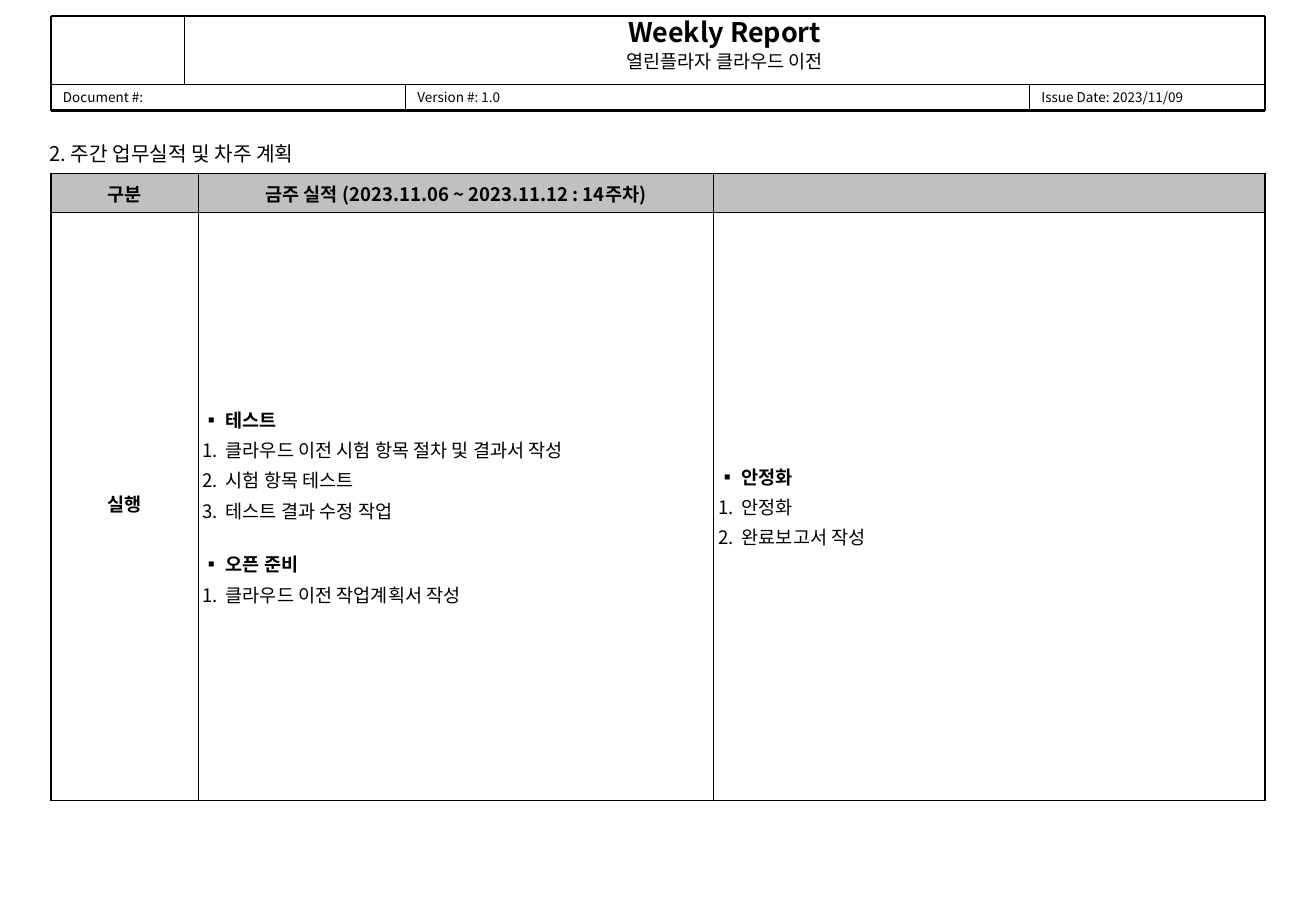
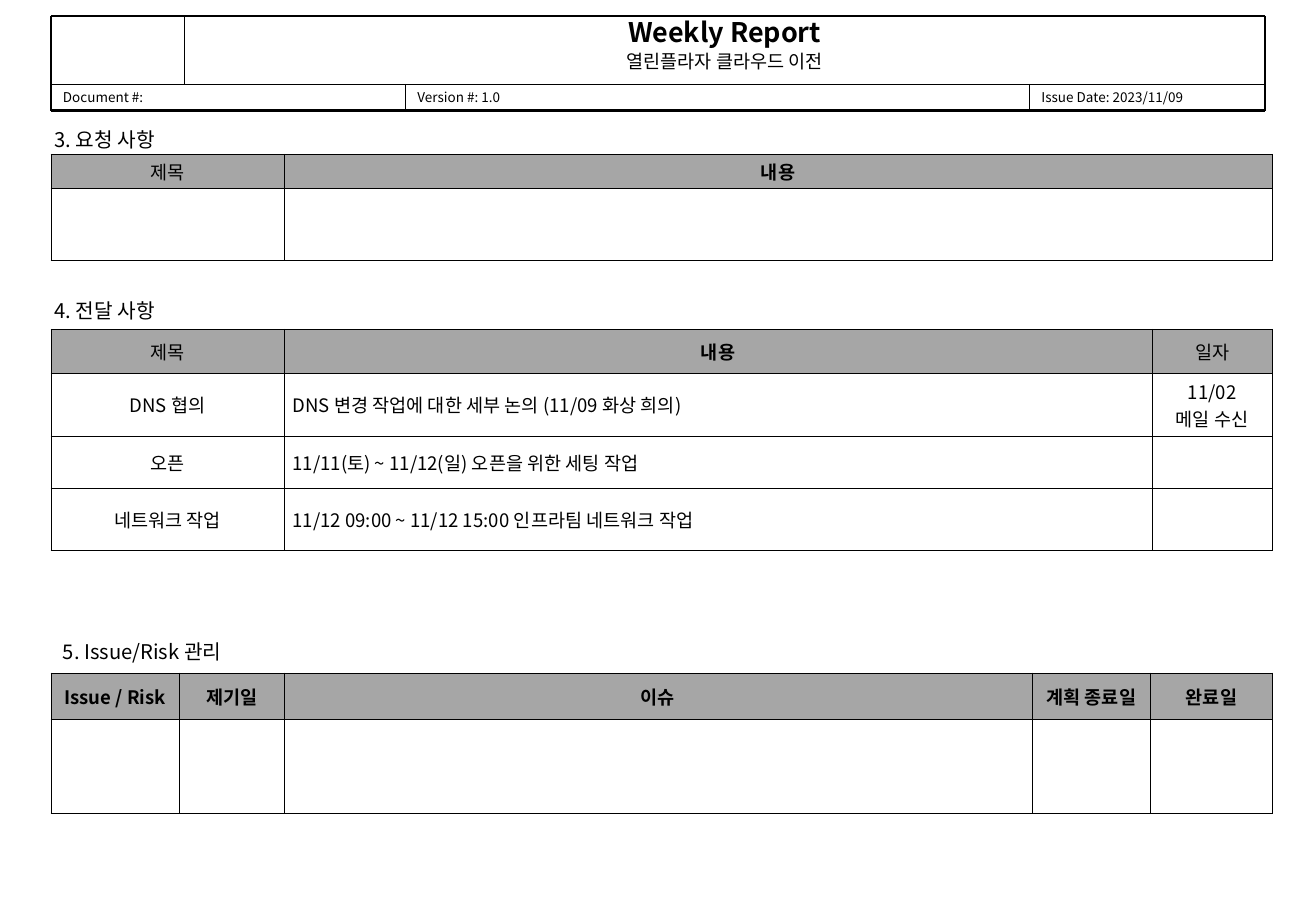
from dataclasses import dataclass

from lxml.etree import SubElement
from pptx import Presentation
from pptx.dml.color import RGBColor
from pptx.enum.shapes import MSO_CONNECTOR as Connector
from pptx.enum.text import MSO_ANCHOR as Anchor, PP_ALIGN as Align
from pptx.oxml.ns import qn
from pptx.util import Inches, Pt

COLORS = {"ink": "000000", "plan_head": "C0C0C0", "list_head": "A6A6A6"}
FONT = "Noto Sans CJK KR"
BODY_SIZE = 11
THIN, THICK = 0.25, 1.5
GRID = 0.45

# Header frame: outer edges and inner dividers
LEFT, RIGHT = 0.42, 10.42
TOP, MIDDLE, BOTTOM = 0.13, 0.69, 0.91
TITLE_LEFT, VERSION_LEFT, DATE_LEFT = 1.52, 3.34, 8.48


@dataclass
class Item:
    """One paragraph of a table cell; bullet is "square", "number" or empty."""
    text: str
    bold: bool = False
    align: Align = Align.CENTER
    bullet: str = ""
    before: float = 0
    line_height: float = 0


def color(name):
    return RGBColor.from_string(COLORS[name])


def add_span(para, text, size, bold=False):
    span = para.add_run()
    span.text = text
    font = span.font
    font.name, font.size, font.bold = FONT, Pt(size), bold
    font.color.rgb = color("ink")
    SubElement(font._element, qn("a:ea"), typeface=FONT)


def add_box(page, left, top, width, height, anchor=Anchor.MIDDLE):
    box = page.shapes.add_textbox(*map(Inches, (left, top, width, height)))
    frame = box.text_frame
    frame.word_wrap = True
    frame.vertical_anchor = anchor
    frame.margin_left = frame.margin_right = Inches(0.1)
    frame.margin_top = frame.margin_bottom = 0
    return frame


def add_line(page, start, end, weight):
    line = page.shapes.add_connector(
        Connector.STRAIGHT, *map(Inches, (*start, *end)))
    line.line.color.rgb = color("ink")
    line.line.width = Pt(weight)
    SubElement(line._element.spPr, qn("a:effectLst"))


def add_header(page):
    title = add_box(page, TITLE_LEFT, TOP, RIGHT - TITLE_LEFT, MIDDLE - TOP,
                    Anchor.TOP)
    name, project = title.paragraphs[0], title.add_paragraph()
    name.alignment = project.alignment = Align.CENTER
    project.space_before = Pt(1)
    add_span(name, "Weekly Report", 16, True)
    add_span(project, "열린플라자 클라우드 이전", 11)

    for text, left, right in (
            ("Document #:", LEFT, VERSION_LEFT),
            ("Version #: 1.0", VERSION_LEFT, DATE_LEFT),
            ("Issue Date: 2023/11/09", DATE_LEFT, RIGHT)):
        label = add_box(page, left, MIDDLE, right - left, BOTTOM - MIDDLE)
        add_span(label.paragraphs[0], text, 8)

    for x, top, bottom, weight in (
            (TITLE_LEFT, TOP, MIDDLE, THIN),
            (VERSION_LEFT, MIDDLE, BOTTOM, THIN),
            (DATE_LEFT, MIDDLE, BOTTOM, THIN),
            (LEFT, TOP, BOTTOM, THICK),
            (RIGHT, TOP, BOTTOM, THICK)):
        add_line(page, (x, top), (x, bottom), weight)
    for y, weight in ((MIDDLE, THIN), (TOP, THICK), (BOTTOM, THICK)):
        add_line(page, (LEFT, y), (RIGHT, y), weight)


def add_heading(page, text, left, top):
    frame = add_box(page, left, top, 4, 0.3)
    add_span(frame.paragraphs[0], text, 12)


def add_bullet(para, kind):
    props = para._p.get_or_add_pPr()
    indent = Inches(0.19)
    props.set("marL", str(indent))
    props.set("indent", str(-indent))
    SubElement(SubElement(props, qn("a:buClr")), qn("a:srgbClr"),
               val=COLORS["ink"])
    SubElement(props, qn("a:buFont"), typeface=FONT)
    if kind == "square":
        SubElement(props, qn("a:buChar"), char="▪")
    else:
        SubElement(props, qn("a:buAutoNum"), type="arabicPeriod")


def set_borders(cell, weights):
    """Take the weights of the left, right, top and bottom edges."""
    props = cell._tc.get_or_add_tcPr()
    for side, weight in zip("LRTB", weights):
        edge = SubElement(props, qn(f"a:ln{side}"), w=str(Pt(weight)))
        fill = SubElement(edge, qn("a:solidFill"))
        SubElement(fill, qn("a:srgbClr"), val=COLORS["ink"])


def fill_cell(cell, items, margin):
    cell.vertical_anchor = Anchor.MIDDLE
    cell.margin_left = cell.margin_right = Inches(margin)
    cell.margin_top = cell.margin_bottom = Inches(0.02)
    frame = cell.text_frame
    if not items:
        SubElement(frame.paragraphs[0]._p, qn("a:endParaRPr"),
                   sz=str(BODY_SIZE * 100))
    for index, item in enumerate(items):
        para = frame.add_paragraph() if index else frame.paragraphs[0]
        para.alignment = item.align
        if item.bullet:
            add_bullet(para, item.bullet)
            para.space_after = Pt(1)
        if item.line_height:
            para.line_spacing = Pt(item.line_height)
        if index:
            para.space_before = Pt(item.before)
        for number, text in enumerate(item.text.split("\n")):
            if number:
                para.add_line_break()
            add_span(para, text, BODY_SIZE, item.bold)


def add_grid(page, top, widths, heights, rows, head, margin=0.07, outer=GRID):
    """Add a table whose first row is shaded; a cell is a list of items."""
    size = (LEFT, top, sum(widths), sum(heights))
    table = page.shapes.add_table(
        len(heights), len(widths), *map(Inches, size)).table
    table.first_row = table.horz_banding = False
    for column, width in zip(table.columns, widths):
        column.width = Inches(width)
    for row, height in zip(table.rows, heights):
        row.height = Inches(height)
    last = len(widths) - 1
    for r, row in enumerate(rows):
        for c, items in enumerate(row):
            cell = table.cell(r, c)
            set_borders(cell, (GRID if c else outer,
                               outer if c == last else GRID,
                               GRID if r else outer, GRID))
            if r:
                cell.fill.background()
            else:
                cell.fill.solid()
                cell.fill.fore_color.rgb = color(head)
            fill_cell(cell, items, margin)


def centered(text, bold=False, line_height=0):
    return [Item(text, bold, line_height=line_height)]


def left_text(text):
    return [Item(text, align=Align.LEFT)]


def task_list(title, tasks, before=1):
    return [Item(title, True, Align.LEFT, "square", before)] + [
        Item(task, False, Align.LEFT, "number", 1) for task in tasks]


def build_plan(page):
    add_header(page)
    add_heading(page, "2. 주간 업무실적 및 차주 계획", 0.31, 1.11)
    this_week = task_list("테스트", [
        "클라우드 이전 시험 항목 절차 및 결과서 작성",
        "시험 항목 테스트",
        "테스트 결과 수정 작업",
    ]) + task_list("오픈 준비", ["클라우드 이전 작업계획서 작성"], before=15)
    next_week = task_list("안정화", ["안정화", "완료보고서 작성"])
    add_grid(page, 1.43, (1.21, 4.25, 4.54), (0.32, 4.84), [
        [centered("구분", True),
         centered("금주 실적 (2023.11.06 ~ 2023.11.12 : 14주차)", True), []],
        [centered("실행", True, 12), this_week, next_week],
    ], "plan_head", margin=0.04, outer=0.75)


def build_notices(page):
    add_header(page)
    add_heading(page, "3. 요청 사항", 0.35, 1)
    add_grid(page, 1.27, (1.92, 8.14), (0.28, 0.59), [
        [centered("제목"), centered("내용", True)],
        [[], []],
    ], "list_head")

    add_heading(page, "4. 전달 사항", 0.35, 2.41)
    add_grid(page, 2.71, (1.92, 7.15, 0.99), (0.36, 0.52, 0.43, 0.51), [
        [centered("제목"), centered("내용", True), centered("일자")],
        [centered("DNS 협의"),
         left_text("DNS 변경 작업에 대한 세부 논의 (11/09 화상 희의)"),
         centered("11/02\n메일 수신")],
        [centered("오픈"),
         left_text("11/11(토) ~ 11/12(일) 오픈을 위한 세팅 작업"), []],
        [centered("네트워크 작업"),
         left_text("11/12 09:00 ~ 11/12 15:00 인프라팀 네트워크 작업"), []],
    ], "list_head")

    add_heading(page, "5. Issue/Risk 관리", 0.42, 5.21)
    titles = ("Issue / Risk", "제기일", "이슈", "계획 종료일", "완료일")
    add_grid(page, 5.54, (1.06, 0.86, 6.16, 0.98, 1), (0.38, 0.78), [
        [centered(title, True) for title in titles],
        [[] for _ in titles],
    ], "list_head")


def main():
    deck = Presentation()
    deck.slide_width, deck.slide_height = Inches(10.84), Inches(7.5)
    blank = deck.slide_layouts[6]
    for build in (build_plan, build_notices):
        build(deck.slides.add_slide(blank))
    deck.save("out.pptx")


if __name__ == "__main__":
    main()
